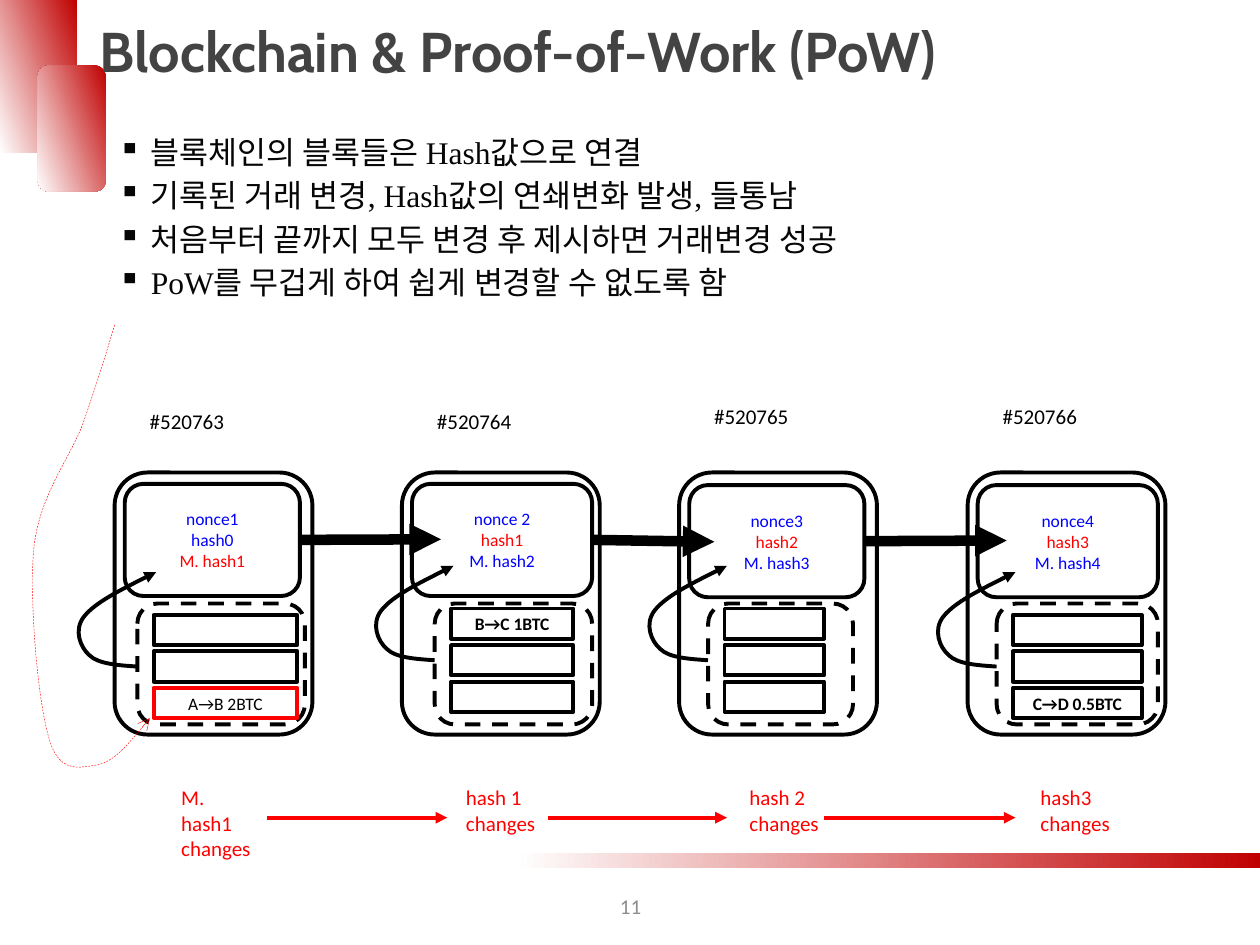
from dataclasses import dataclass

from lxml.etree import SubElement
from pptx import Presentation
from pptx.dml.color import RGBColor
from pptx.enum.dml import MSO_LINE_DASH_STYLE as Dash
from pptx.enum.shapes import MSO_CONNECTOR as Connector, MSO_SHAPE as Shape
from pptx.enum.text import MSO_ANCHOR as Anchor, MSO_AUTO_SIZE as AutoSize, PP_ALIGN as Align
from pptx.oxml.ns import qn
from pptx.util import Pt

PX = 9144


@dataclass(frozen=True)
class Theme:
    black: str = "000000"
    white: str = "FFFFFF"
    blue: str = "0000FF"
    red: str = "FF0000"
    crimson: str = "C00000"
    heading: str = "434343"
    body: str = "060606"
    muted: str = "8C8C8C"
    heading_font: str = "Cabin"
    body_font: str = "Times New Roman"
    label_font: str = "Calibri"
    heading_size: int = 32
    body_size: int = 18
    label_size: int = 12
    block_size: int = 10
    outline: float = 2.25
    link: float = 6
    hairline: float = 0.25


@dataclass(frozen=True)
class Block:
    number: str
    left: int
    label_top: int
    header_top: int
    header_width: int
    header: tuple
    tray_left: int
    tray_width: int
    row_top: int
    row_width: int
    transactions: tuple
    bold: bool = True


class SlideBuilder:
    def __init__(self, slide, theme):
        self.shapes = slide.shapes
        self.theme = theme

    def add_lines(self, frame, lines, size, font, align=Align.LEFT, bold=False):
        for index, (words, color) in enumerate(lines):
            paragraph = frame.paragraphs[0] if index == 0 else frame.add_paragraph()
            paragraph.alignment = align
            run = paragraph.add_run()
            run.text = words
            run.font.size = Pt(size)
            run.font.name = font
            run.font.bold = bold
            run.font.color.rgb = RGBColor.from_string(color)

    def text(self, box, lines, size, font, align=Align.LEFT, bold=False, wrap=True, anchor=Anchor.TOP):
        frame = self.shapes.add_textbox(*(n * PX for n in box)).text_frame
        frame.word_wrap = wrap
        frame.vertical_anchor = anchor
        frame.auto_size = AutoSize.SHAPE_TO_FIT_TEXT if anchor == Anchor.TOP else AutoSize.NONE
        self.add_lines(frame, lines, size, font, align, bold)
        return frame

    def label(self, left, top, width, height, lines, color):
        self.text((left, top, width, height), [(line, color) for line in lines],
                  self.theme.label_size, self.theme.label_font, wrap=False)

    def bullets(self, box, lines):
        theme = self.theme
        frame = self.text(box, [(line, theme.body) for line in lines],
                          theme.body_size, theme.body_font, Align.JUSTIFY)
        for paragraph in frame.paragraphs:
            paragraph.line_spacing = 1.15
            properties = paragraph._p.get_or_add_pPr()
            properties.set("marL", str(26 * PX))
            properties.set("indent", str(-26 * PX))
            SubElement(properties, qn("a:buChar")).set("char", "▪")

    def gradient(self, kind, box, colors, angle):
        shape = self.shapes.add_shape(kind, *(n * PX for n in box))
        shape.shadow.inherit = False
        shape.line.fill.background()
        shape.fill.gradient()
        shape.fill.gradient_angle = angle
        for stop, color in zip(shape.fill.gradient_stops, colors):
            stop.color.rgb = RGBColor.from_string(color)

    def stroke(self, shape, color, width, dash=None, head=None):
        shape.line.color.rgb = RGBColor.from_string(color)
        shape.line.width = Pt(width)
        if dash:
            shape.line.dash_style = dash
        if head:
            SubElement(shape._element.spPr.find(qn("a:ln")), qn("a:tailEnd")).set("type", head)

    def frame(self, kind, box, lines=(), color=None, dash=None, bold=False):
        theme = self.theme
        shape = self.shapes.add_shape(kind, *(n * PX for n in box))
        shape.shadow.inherit = False
        shape.fill.solid()
        shape.fill.fore_color.rgb = RGBColor.from_string(theme.white)
        self.stroke(shape, color or theme.black, theme.outline, dash)
        shape.text_frame.vertical_anchor = Anchor.MIDDLE
        self.add_lines(shape.text_frame, lines, theme.block_size, theme.label_font, Align.CENTER, bold)
        return shape

    def arrow(self, start, end, color, width, source=None):
        line = self.shapes.add_connector(Connector.STRAIGHT, *(n * PX for n in start + end))
        if source:
            line.begin_connect(source, 3)
        self.stroke(line, color, width, head="triangle")
        SubElement(line._element.spPr, qn("a:effectLst"))

    def curve(self, points, color, width, head, dash=None):
        start, *controls = [(x * PX, y * PX) for x, y in points]
        builder = self.shapes.build_freeform(*start)
        builder.add_line_segments(controls, close=False)
        shape = builder.convert_to_shape()
        shape.shadow.inherit = False
        shape.fill.background()
        self.stroke(shape, color, width, dash, head)
        outline = next(shape._element.iter(qn("a:path")))
        segments = outline.findall(qn("a:lnTo"))
        for first in range(0, len(segments), 3):
            bezier = SubElement(outline, qn("a:cubicBezTo"))
            for segment in segments[first:first + 3]:
                bezier.append(segment[0])
                outline.remove(segment)


def main():
    theme = Theme()
    deck = Presentation()
    deck.slide_width, deck.slide_height = 1000 * PX, 750 * PX
    page = SlideBuilder(deck.slides.add_slide(deck.slide_layouts[6]), theme)

    fade = (theme.crimson, theme.white)
    page.gradient(Shape.RECTANGLE, (0, 0, 61, 121), fade, 200)
    page.gradient(Shape.FLOWCHART_ALTERNATE_PROCESS, (30, 52, 54, 100), fade, 200)
    page.gradient(Shape.RECTANGLE, (409, 677, 591, 12), fade[::-1], 0)

    page.text((69, 8, 791, 64), [("Blockchain & Proof-of-Work (PoW)", theme.heading)],
              theme.heading_size, theme.heading_font, bold=True)
    page.bullets((84, 96, 897, 149), (
        "블록체인의 블록들은 Hash값으로 연결",
        "기록된 거래 변경, Hash값의 연쇄변화 발생, 들통남",
        "처음부터 끝까지 모두 변경 후 제시하면 거래변경 성공",
        "PoW를 무겁게 하여 쉽게 변경할 수 없도록 함",
    ))
    page.text((388, 699, 225, 40), [("11", theme.muted)], theme.label_size,
              theme.label_font, Align.CENTER, anchor=Anchor.MIDDLE)

    blue, red = theme.blue, theme.red
    blocks = (
        Block("#520763", 91, 319, 384, 139, (("nonce1", blue), ("hash0", blue), ("M. hash1", red)),
              109, 133, 488, 114, ("", "", "A→B 2BTC"), bold=False),
        Block("#520764", 319, 319, 384, 143, (("nonce 2", blue), ("hash1", red), ("M. hash2", blue)),
              345, 125, 483, 97, ("B→C 1BTC", "", "")),
        Block("#520765", 539, 315, 385, 139, (("nonce3", blue), ("hash2", red), ("M. hash3", blue)),
              562, 115, 483, 79, ("", "", "")),
        Block("#520766", 768, 315, 385, 143, (("nonce4", blue), ("hash3", red), ("M. hash4", blue)),
              791, 128, 488, 102, ("", "", "C→D 0.5BTC")),
    )
    headers = []
    for block in blocks:
        page.frame(Shape.ROUNDED_RECTANGLE, (block.left, 375, 157, 208))
        page.label(block.left + 18, block.label_top, 80, 30, (block.number,), theme.black)
        headers.append(page.frame(
            Shape.ROUNDED_RECTANGLE, (block.left + 8, block.header_top, block.header_width, 89), block.header))

    for source, start, tip in zip(headers, ((238, 429), (470, 429), (686, 429)),
                                  ((350, 428), (567, 430), (799, 429))):
        page.arrow(start, tip, theme.black, theme.link, source)

    loop = ((0, 0), (-15, -1), (-31, -2), (-38, -9), (-45, -15),
            (-51, -29), (-42, -40), (-33, -51), (-9, -63), (15, -75))
    for block in blocks:
        page.frame(Shape.ROUNDED_RECTANGLE, (block.tray_left, 479, block.tray_width, 96), dash=Dash.DASH)
        for row, transaction in enumerate(block.transactions):
            tampered = transaction == "A→B 2BTC"
            page.frame(Shape.RECTANGLE,
                       (block.tray_left + 13, block.row_top + 29 * row, block.row_width, 24),
                       [(transaction, theme.black)] if transaction else (),
                       red if tampered else theme.black, bold=block.bold)
        page.curve([(block.tray_left + x, block.row_top + 41 + y) for x, y in loop],
                   theme.black, theme.outline, "triangle")

    page.curve(((91, 258), (84, 282), (76, 307), (66, 336), (55, 365), (32, 392), (27, 434),
                (23, 475), (30, 557), (39, 586), (47, 615), (64, 609), (78, 607),
                (91, 604), (105, 587), (119, 570)), red, theme.hairline, "arrow", Dash.DASH)

    for left, changed in ((134, "M. hash1"), (360, "hash 1"), (585, "hash 2"), (816, "hash3")):
        page.label(left, 618, 76, 50, (changed, "changes"), red)
    for start, end in ((212, 355), (435, 577), (654, 806)):
        page.arrow((start, 649), (end, 649), red, theme.outline)

    deck.save("out.pptx")


if __name__ == "__main__":
    main()
